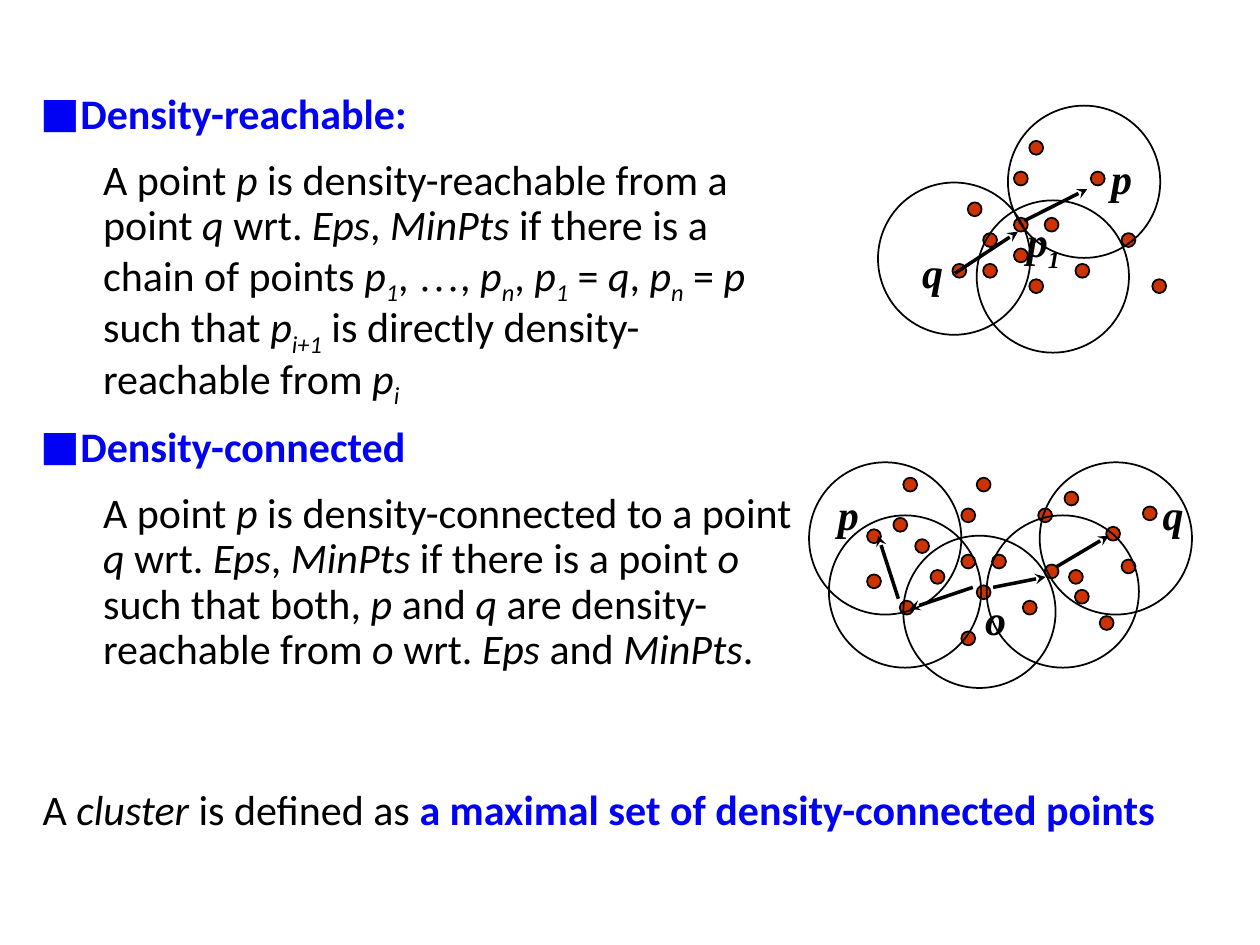
"""Build a slide on density-reachable and density-connected points."""
from lxml.etree import SubElement
from pptx import Presentation
from pptx.dml.color import RGBColor
from pptx.enum.shapes import MSO_CONNECTOR, MSO_SHAPE
from pptx.oxml.ns import qn
from pptx.util import Cm, Pt

BLUE, BLACK, RED = "0101F4", "000000", "CC3300"
SANS, SERIF = "Calibri", "Times New Roman"
DOT, CIRCLE, GRID_STEP = 0.28, 3.07, 0.31
HEADING_INDENT, BODY_INDENT = 0.81, 1.27

REACHABLE = [
    ("A point ", ""), ("p", "italic"), (" is density-reachable from a point ", ""),
    ("q ", "italic"), ("wrt. ", ""), ("Eps", "italic"), (", ", ""), ("MinPts", "italic"),
    (" if there is a chain of points ", ""), ("p", "italic"), ("1", "sub"), (", ", ""),
    ("…", "serif"), (", ", ""), ("p", "italic"), ("n", "sub"), (", ", ""),
    ("p", "italic"), ("1", "sub"), (" = ", ""), ("q", "italic"), (", ", ""),
    ("p", "italic"), ("n", "sub"), (" = ", ""), ("p", "italic"), (" such that ", ""),
    ("p", "italic"), ("i+1", "sub"), (" is directly density-reachable from ", ""),
    ("p", "italic"), ("i", "sub"),
]
CONNECTED = [
    ("A point ", ""), ("p", "italic"), (" is density-connected to a point ", ""),
    ("q ", "italic"), ("wrt. ", ""), ("Eps", "italic"), (", ", ""), ("MinPts", "italic"),
    (" if there is a point ", ""), ("o ", "italic"), ("such that both, ", ""),
    ("p", "italic"), (" and ", ""), ("q", "italic"), (" are density-reachable from ", ""),
    ("o ", "italic"), ("wrt. ", ""), ("Eps", "italic"), (" and ", ""),
    ("MinPts", "italic"), (".", ""),
]
DEFINITIONS = [("Density-reachable:", REACHABLE), ("Density-connected", CONNECTED)]
CLUSTER = [
    ("A ", ""), ("cluster", "italic"), (" is defined as ", ""),
    ("a maximal set of density-connected points", "strong"),
]
STYLES = {
    "": {},
    "italic": {"italic": True},
    "sub": {"italic": True, "subscript": True},
    "serif": {"font": SERIF},
    "strong": {"bold": True, "color": BLUE},
    "label": {"font": SERIF, "bold": True, "italic": True},
    "label sub": {"font": SERIF, "bold": True, "italic": True, "subscript": True},
}

REACHABLE_DIAGRAM = {
    "grouped": False,
    "origin": (19.2, 2.84),
    "grid dots": [(1, 4), (4, 5), (4, 2), (0, 8), (2, 6), (2, 8), (5, 9), (5, 0),
                  (11, 6), (9, 2), (4, 7), (6, 5), (8, 8), (13, 9)],
    "loose dots": [],
    "circles": [(19.69, 4.04), (17.7, 3.68), (20.32, 2.13)],
    "arrows": [(20.65, 4.45, 21.92, 3.81), (19.25, 5.51, 20.52, 4.67)],
    "labels": [("p", "", 22.15, 2.95), ("q", "", 18.34, 4.85), ("p", "1", 20.45, 4.22)],
}
CONNECTED_DIAGRAM = {
    "grouped": True,
    "origin": (18.14, 9.63),
    "grid dots": [(1, 4), (4, 5), (4, 2), (0, 8), (2, 6), (4, 10), (5, 7), (5, 0),
                  (11, 6), (9, 2), (6, 5), (8, 8), (13, 9)],
    "loose dots": [(17.48, 11.58), (22.61, 11.28), (21.06, 11.38), (21.67, 11.89),
                   (23.04, 10.21), (21.46, 9.91), (22.3, 10.62), (18.01, 10.44),
                   (17.48, 10.67), (18.21, 9.63)],
    "circles": [(16.71, 10.39), (18.21, 10.8), (19.89, 10.39), (20.96, 9.32), (16.31, 9.32)],
    "arrows": [(19.61, 11.84, 18.34, 12.27), (20.02, 11.84, 21.08, 11.63),
               (18.11, 12.07, 17.7, 10.8), (21.29, 11.43, 22.35, 10.8)],
    "labels": [("p", "", 16.64, 9.73), ("q", "", 23.19, 9.73), ("o", "", 19.61, 11.84)],
}


def color(value):
    return RGBColor.from_string(value)


def add_runs(paragraph, runs):
    for text, style_name in runs:
        style = STYLES[style_name]
        run = paragraph.add_run()
        run.text = text
        run.font.size = Pt(24)
        run.font.name = style.get("font", SANS)
        run.font.bold = style.get("bold", False)
        run.font.italic = style.get("italic", False)
        run.font.color.rgb = color(style.get("color", BLACK))
        if style.get("subscript"):
            run.font._element.set("baseline", "-25000")


def add_text_box(shapes, left, top, width, height):
    text_box = shapes.add_textbox(Cm(left), Cm(top), Cm(width), Cm(height))
    text_box.text_frame.word_wrap = True
    return text_box.text_frame


def format_definition(paragraph, is_heading, is_first):
    properties = paragraph._p.get_or_add_pPr()
    if is_heading:
        properties.set("marL", str(Cm(HEADING_INDENT)))
        properties.set("indent", str(-Cm(HEADING_INDENT)))
        SubElement(properties, qn("a:buFont")).set("typeface", SANS)
        SubElement(properties, qn("a:buChar")).set("char", "■")
    else:
        properties.set("marL", str(Cm(BODY_INDENT)))
        properties.set("indent", "0")
        properties.set("lvl", "1")
    paragraph.line_spacing = 0.9
    if not is_first:
        paragraph.space_before = Pt(12)


def add_definitions(shapes):
    frame = add_text_box(shapes, 0.56, 1.75, 15.67, 12.9)
    for index, (heading, body) in enumerate(DEFINITIONS):
        for is_heading, runs in ((True, [(heading, "strong")]), (False, body)):
            is_first = index == 0 and is_heading
            paragraph = frame.paragraphs[0] if is_first else frame.add_paragraph()
            format_definition(paragraph, is_heading, is_first)
            add_runs(paragraph, runs)


def add_ellipse(shapes, left, top, diameter, fill=None):
    shape = shapes.add_shape(MSO_SHAPE.OVAL, Cm(left), Cm(top), Cm(diameter), Cm(diameter))
    shape.shadow.inherit = False
    shape.line.color.rgb = color(BLACK)
    shape.line.width = Pt(1)
    if fill:
        shape.fill.solid()
        shape.fill.fore_color.rgb = color(fill)
    else:
        shape.fill.background()


def add_arrow(shapes, *ends):
    connector = shapes.add_connector(MSO_CONNECTOR.STRAIGHT, *map(Cm, ends))
    connector.line.color.rgb = color(BLACK)
    connector.line.width = Pt(2)
    SubElement(connector.line._get_or_add_ln(), qn("a:tailEnd")).set("type", "stealth")
    SubElement(connector._element.spPr, qn("a:effectLst"))


def add_diagram(slide, diagram):
    shapes = slide.shapes.add_group_shape().shapes if diagram["grouped"] else slide.shapes
    left, top = diagram["origin"]
    grid_dots = [(left + column * GRID_STEP, top + row * GRID_STEP)
                 for column, row in diagram["grid dots"]]
    for position in grid_dots + diagram["loose dots"]:
        add_ellipse(shapes, *position, DOT, RED)
    for position in diagram["circles"]:
        add_ellipse(shapes, *position, CIRCLE)
    for ends in diagram["arrows"]:
        add_arrow(shapes, *ends)
    for letter, subscript, label_left, label_top in diagram["labels"]:
        frame = add_text_box(shapes, label_left, label_top, 1.7 if subscript else 1.07, 1.27)
        runs = [(letter, "label")] + ([(subscript, "label sub")] if subscript else [])
        add_runs(frame.paragraphs[0], runs)


def main():
    presentation = Presentation()
    presentation.slide_width, presentation.slide_height = Cm(25.4), Cm(19.05)
    slide = presentation.slides.add_slide(presentation.slide_layouts[6])
    add_definitions(slide.shapes)
    for diagram in (REACHABLE_DIAGRAM, CONNECTED_DIAGRAM):
        add_diagram(slide, diagram)
    frame = add_text_box(slide.shapes, 0.61, 15.67, 23.06, 1.3)
    add_runs(frame.paragraphs[0], CLUSTER)
    presentation.save("out.pptx")


if __name__ == "__main__":
    main()
